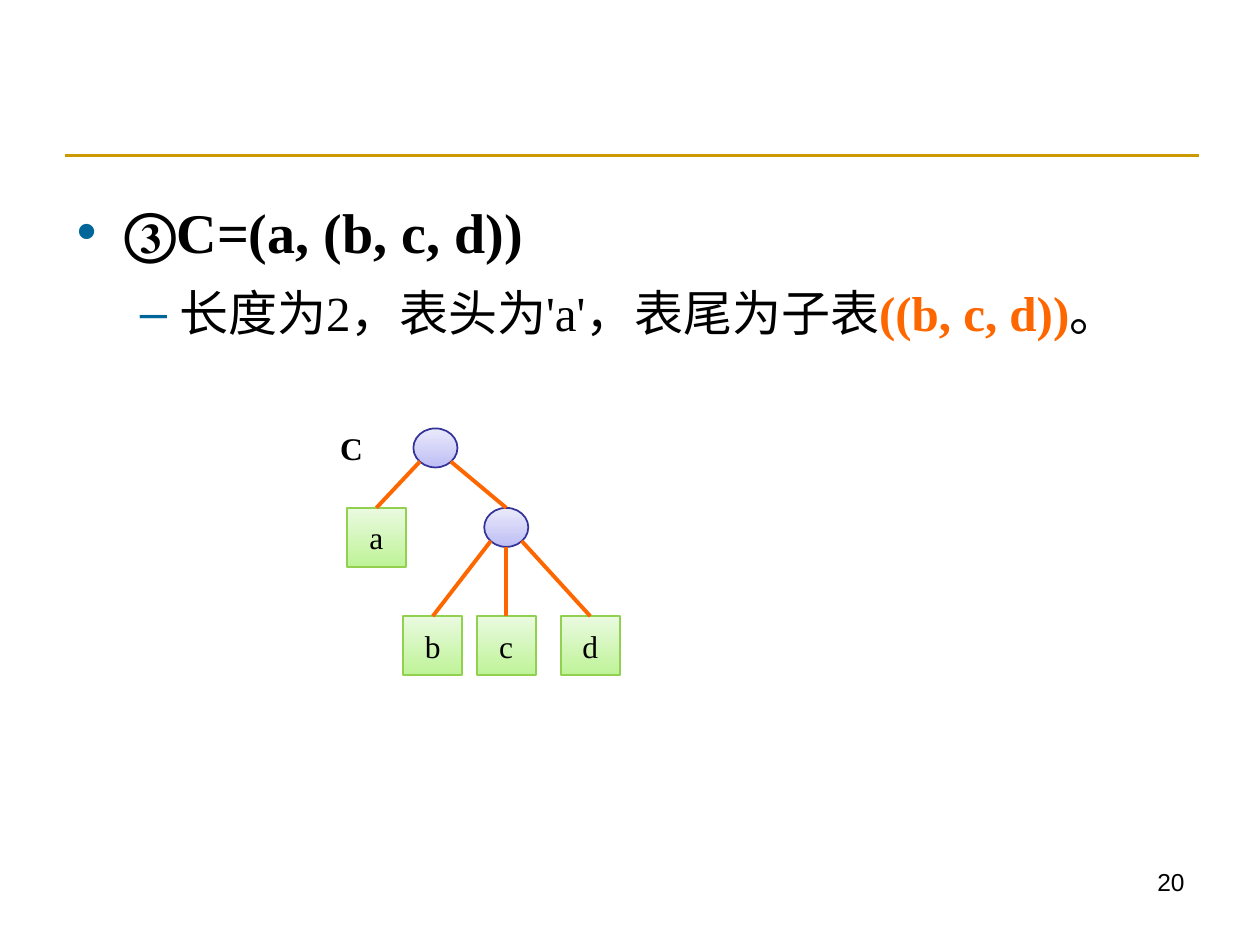
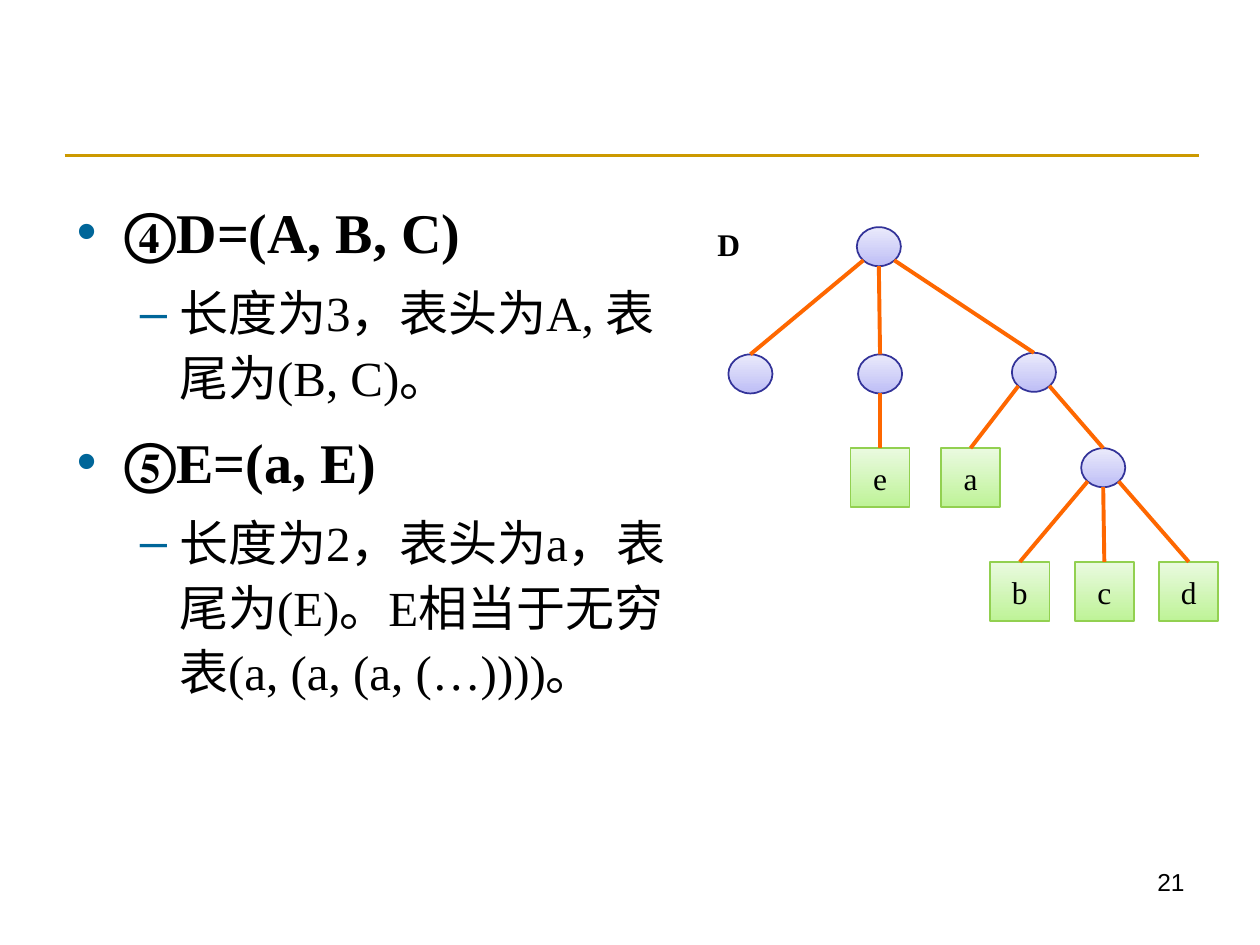
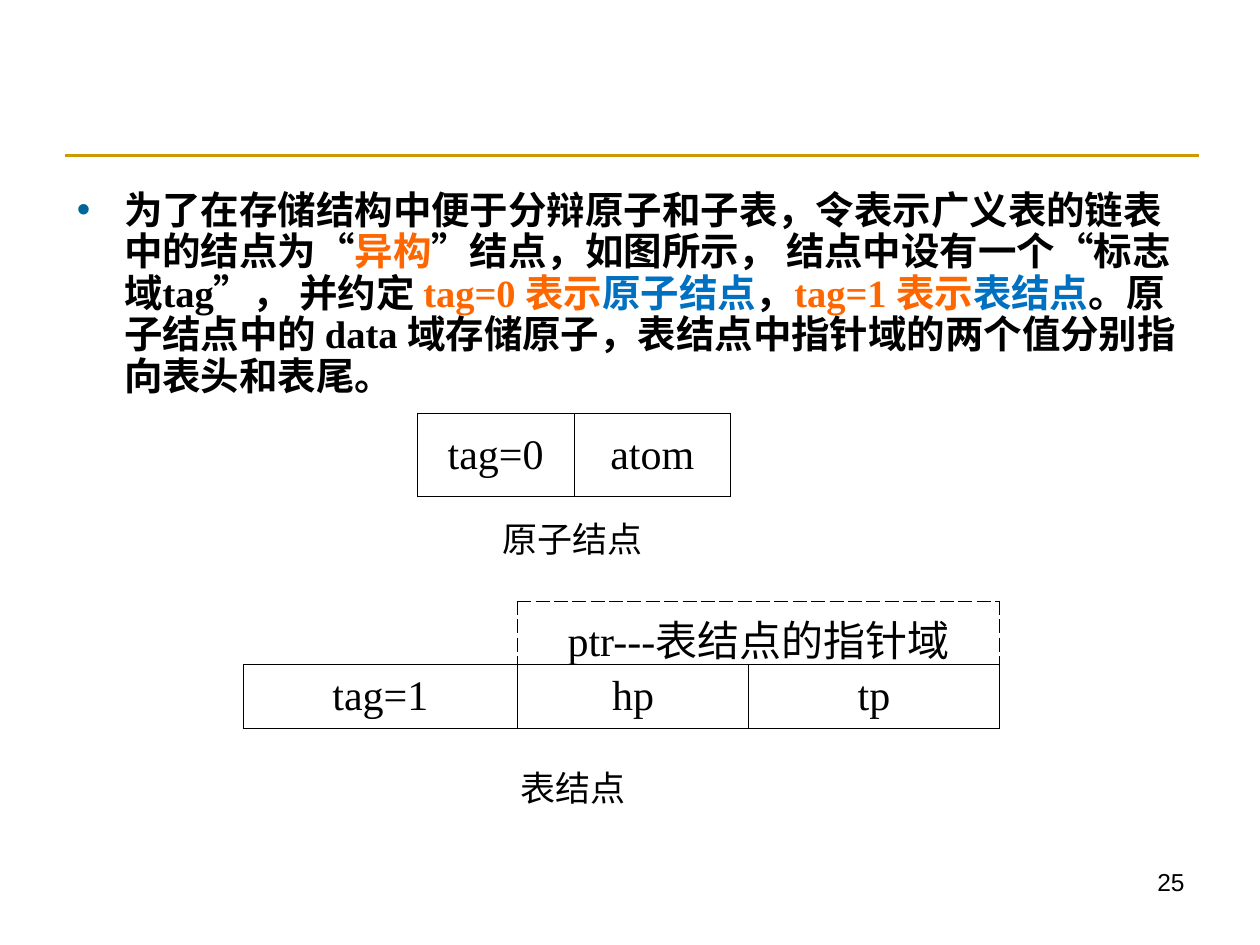
from lxml.etree import SubElement
from pptx import Presentation
from pptx.dml.color import RGBColor as Rgb
from pptx.enum.shapes import MSO_CONNECTOR as Conn, MSO_SHAPE as Shape
from pptx.enum.text import MSO_ANCHOR as Anchor, MSO_AUTO_SIZE as Auto, PP_ALIGN as Align
from pptx.oxml import parse_xml
from pptx.oxml.ns import nsdecls, qn
from pptx.util import Pt

HUE = {
    "text": "000000", "mark": "006699", "rule": "CC9900", "hot": "FE6700",
    "blue": "0070C0", "ring": "333399", "edge": "92D050",
    "ring_low": "BEBEF6", "ring_high": "EAEAFB",
    "leaf_low": "BEF397", "leaf_high": "EAFAE0",
}
SERIF = "Times New Roman"
RING = (25.2, 22.3)
LEAF = (33.8, 33.8)
BEND = 0.35  # half of cos 45°
HAIR = 0.45
LEVELS = [
    {"mark": "•", "left": 27, "hang": -27},
    {"mark": "–", "left": 58.5, "hang": -22.5},
]
HEAD = {"level": 0, "line_spacing": 1.1, "space_before": Pt(8)}
SUB = {"level": 1, "line_spacing": 1.1, "space_before": Pt(7)}
DENSE = {"level": 0, "line_spacing": 0.9, "space_before": Pt(5.5)}


def rgb(name):
    return Rgb.from_string(HUE[name])


def put(item, vals):
    for key, val in vals.items():
        setattr(item, key, val)


def write(para, text, size, hue="text", bold=False, face=SERIF):
    run = para.add_run()
    run.text = text
    put(run.font, {"size": Pt(size), "bold": bold, "name": face})
    run.font.color.rgb = rgb(hue)


def mark(para, level):
    """Give the paragraph its bullet and hanging indent."""
    look = LEVELS[level]
    props = para._p.get_or_add_pPr()
    props.set("marL", str(Pt(look["left"])))
    props.set("indent", str(Pt(look["hang"])))
    tint = SubElement(props, qn("a:buClr"))
    SubElement(tint, qn("a:srgbClr")).set("val", HUE["mark"])
    SubElement(props, qn("a:buFont")).set("typeface", "Arial")
    SubElement(props, qn("a:buChar")).set("char", look["mark"])


def body(slide, box, paras):
    """Fill the body placeholder; each paragraph is (format, size, runs)."""
    hold = slide.placeholders[1]
    put(hold, dict(zip(("left", "top", "width", "height"), map(Pt, box))))
    frame = hold.text_frame
    put(frame, {"auto_size": Auto.NONE, "vertical_anchor": Anchor.TOP, "word_wrap": True})
    for num, (form, size, runs) in enumerate(paras):
        para = frame.add_paragraph() if num else frame.paragraphs[0]
        mark(para, form["level"])
        put(para, form if num else {**form, "space_before": Pt(0)})
        for text, hue, bold in runs:
            write(para, text, size, hue, bold)


def label(slide, box, text, size, align=Align.LEFT, anchor=Anchor.TOP, **look):
    frame = slide.shapes.add_textbox(*map(Pt, box)).text_frame
    put(frame, {"word_wrap": True, "vertical_anchor": anchor})
    para = frame.paragraphs[0]
    para.alignment = align
    write(para, text, size, **look)
    return frame


def note(slide, left, top, wide, text):
    """Caption on one line, in a box that fits its text."""
    frame = label(slide, (left, top, wide, 31.7), text, 20)
    put(frame, {"word_wrap": False, "auto_size": Auto.SHAPE_TO_FIT_TEXT})


def line(slide, start, end, hue, width):
    link = slide.shapes.add_connector(Conn.STRAIGHT, *map(Pt, (*start, *end)))
    link.line.width = Pt(width)
    link.line.color.rgb = rgb(hue)
    SubElement(link._element.spPr, qn("a:effectLst"))
    return link


def node(slide, mid, top, text=None):
    """Draw a leaf box when there is text, else a ring for a sublist."""
    kind, size, edge, tone = (
        (Shape.RECTANGLE, LEAF, "edge", "leaf") if text
        else (Shape.OVAL, RING, "ring", "ring"))
    wide, high = size
    item = slide.shapes.add_shape(kind, Pt(mid - wide / 2), Pt(top), Pt(wide), Pt(high))
    item.shadow.inherit = False
    item.fill.gradient()
    item.fill.gradient_angle = 90
    for stop, end in zip(item.fill.gradient_stops, ("low", "high")):
        stop.color.rgb = rgb(f"{tone}_{end}")
    item.line.color.rgb = rgb(edge)
    item.line.width = Pt(1)
    if text:
        frame = item.text_frame
        frame.vertical_anchor = Anchor.MIDDLE
        frame.paragraphs[0].alignment = Align.CENTER
        write(frame.paragraphs[0], text, 18)
    return item


def tree(slide, mid, top, kids):
    """Draw a ring and its children: (mid, top, text or list of children)."""
    ring = node(slide, mid, top)
    wide, high = RING
    for x, y, part in kids:
        if isinstance(part, str):
            kid = node(slide, x, y, part)
        else:
            kid = tree(slide, x, y, part)
        side = 0 if abs(x - mid) < 3 else (1 if x > mid else -1)
        drop = BEND if side else 0.5
        start = (mid + side * BEND * wide, top + high * (0.5 + drop))
        line(slide, start, (x, y), "hot", 2.25).end_connect(kid, 0)
    return ring


def border(cell, dashed="", none=""):
    """Line all four sides; dashed and none list the sides that differ."""
    props = cell._tc.get_or_add_tcPr()
    for num, side in enumerate("LRTB"):
        if side in none:
            ink = "<a:noFill/>"
        else:
            style = "dash" if side in dashed else "solid"
            ink = (f'<a:solidFill><a:srgbClr val="{HUE["text"]}"/></a:solidFill>'
                   f'<a:prstDash val="{style}"/>')
        props.insert(num, parse_xml(
            f'<a:ln{side} {nsdecls("a")} w="{Pt(HAIR)}">{ink}</a:ln{side}>'))


def grid(slide, left, top, cols, high, rows):
    size = (len(rows), len(cols))
    table = slide.shapes.add_table(
        *size, Pt(left), Pt(top), Pt(sum(cols)), Pt(high * len(rows))).table
    put(table, {"first_row": False, "horz_banding": False})
    for col, wide in zip(table.columns, cols):
        col.width = Pt(wide)
    for row, texts in zip(table.rows, rows):
        row.height = Pt(high)
        for cell, text in zip(row.cells, texts):
            cell.fill.background()
            cell.vertical_anchor = Anchor.MIDDLE
            if text:
                para = cell.text_frame.paragraphs[0]
                para.alignment = Align.CENTER
                write(para, text, 24)
    return table


def page(deck, num):
    slide = deck.slides.add_slide(deck.slide_layouts[1])
    title = slide.shapes.title._element
    title.getparent().remove(title)
    line(slide, (36.9, 88.7), (684.9, 88.7), "rule", 1.5)
    label(slide, (516.2, 491.8, 167.8, 37.4), str(num), 14, Align.RIGHT, face="Arial")
    return slide


def name(slide, left, top, text):
    label(slide, (left, top, 28, 22.3), text, 18, Align.CENTER, Anchor.MIDDLE, bold=True)


def list_c(deck):
    slide = page(deck, 20)
    body(slide, (36.7, 105.5, 648, 96.5), [
        (HEAD, 32, [("③C=(a, (b, c, d))", "text", True)]),
        (SUB, 28, [("长度为2，表头为'a'，表尾为子表", "text", False),
                   ("((b, c, d))", "hot", True), ("。", "text", False)]),
    ])
    name(slide, 186.8, 244.8, "C")
    inner = [(247.3, 352.1, "b"), (289.3, 352.1, "c"), (337.3, 352.1, "d")]
    tree(slide, 248.8, 244.8, [(215.1, 290.2, "a"), (289.3, 290.2, inner)])


def list_d(deck):
    slide = page(deck, 21)
    body(slide, (36.7, 105.5, 357.1, 378.7), [
        (HEAD, 32, [("④D=(A, B, C)", "text", True)]),
        (SUB, 28, [("长度为3，表头为A, 表尾为(B, C)。", "text", False)]),
        (HEAD, 32, [("⑤E=(a, E)", "text", True)]),
        (SUB, 28, [("长度为2，表头为a，表尾为(E)。E相当于无穷表(a, (a, (a, (…))))。",
                    "text", False)]),
    ])
    name(slide, 402.5, 128.3, "D")
    inner = [(582.8 + 48.25 * i, 321.1, text) for i, text in enumerate("bcd")]
    tree(slide, 502.2, 129.8, [
        (428.8, 202.5, []),
        (502.9, 202.5, [(502.9, 256.1, "e")]),
        (590.8, 201.6, [(554.6, 256.1, "a"), (630.4, 256.1, inner)]),
    ])


def storage(deck):
    slide = page(deck, 25)
    runs = [
        ("为了在存储结构中便于分辩原子和子表，令表示广义表的链表中的结点为“", "text"),
        ("异构", "hot"),
        ("”结点，如图所示， 结点中设有一个“标志域tag”， 并约定 ", "text"),
        ("tag=0 表示", "hot"), ("原子结点", "blue"), ("，", "text"),
        ("tag=1 表示", "hot"), ("表结点", "blue"),
        ("。原子结点中的 data 域存储原子，表结点中指针域的两个值分别指向表头和表尾。", "text"),
    ]
    body(slide, (36.7, 105.5, 648, 130.3),
         [(DENSE, 22, [(text, hue, True) for text, hue in runs])])

    atom = grid(slide, 238.5, 236.2, [89.5, 89.5], 47.5, [["tag=0", "atom"]])
    for cell in atom.iter_cells():
        border(cell)
    note(slide, 280.1, 291.9, 95, "原子结点")

    pair = grid(slide, 139, 343.6, [156.7, 132.2, 143.2], 36.2,
                [["", "ptr---表结点的指针域", ""], ["tag=1", "hp", "tp"]])
    field = pair.cell(0, 1)
    field.merge(pair.cell(0, 2))
    field.vertical_anchor = Anchor.TOP
    border(pair.cell(0, 0), dashed="R", none="LT")
    for col in (1, 2):
        border(pair.cell(0, col), dashed="LRT")
    for col in range(3):
        border(pair.cell(1, col))
    note(slide, 290.2, 434.2, 75, "表结点")


def main():
    deck = Presentation()
    put(deck, {"slide_width": Pt(720), "slide_height": Pt(540)})
    for make in (list_c, list_d, storage):
        make(deck)
    deck.save("out.pptx")


if __name__ == "__main__":
    main()
